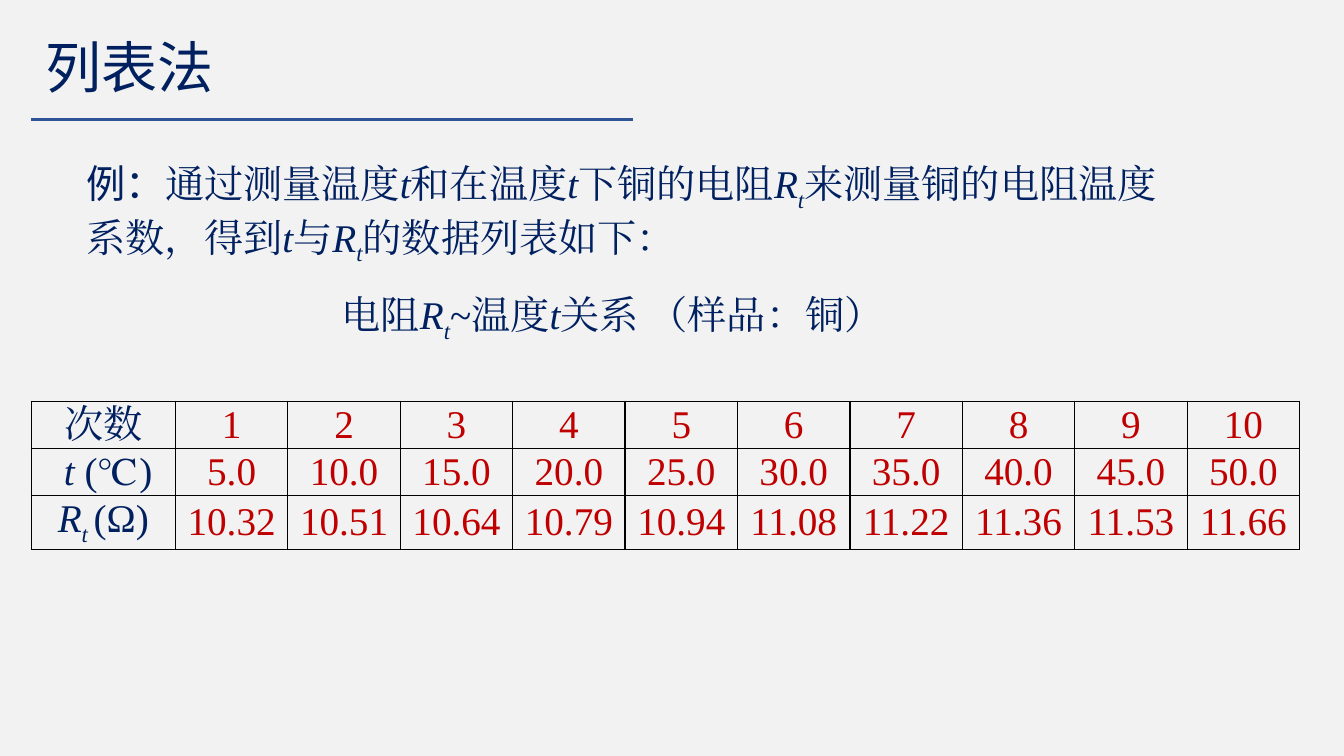
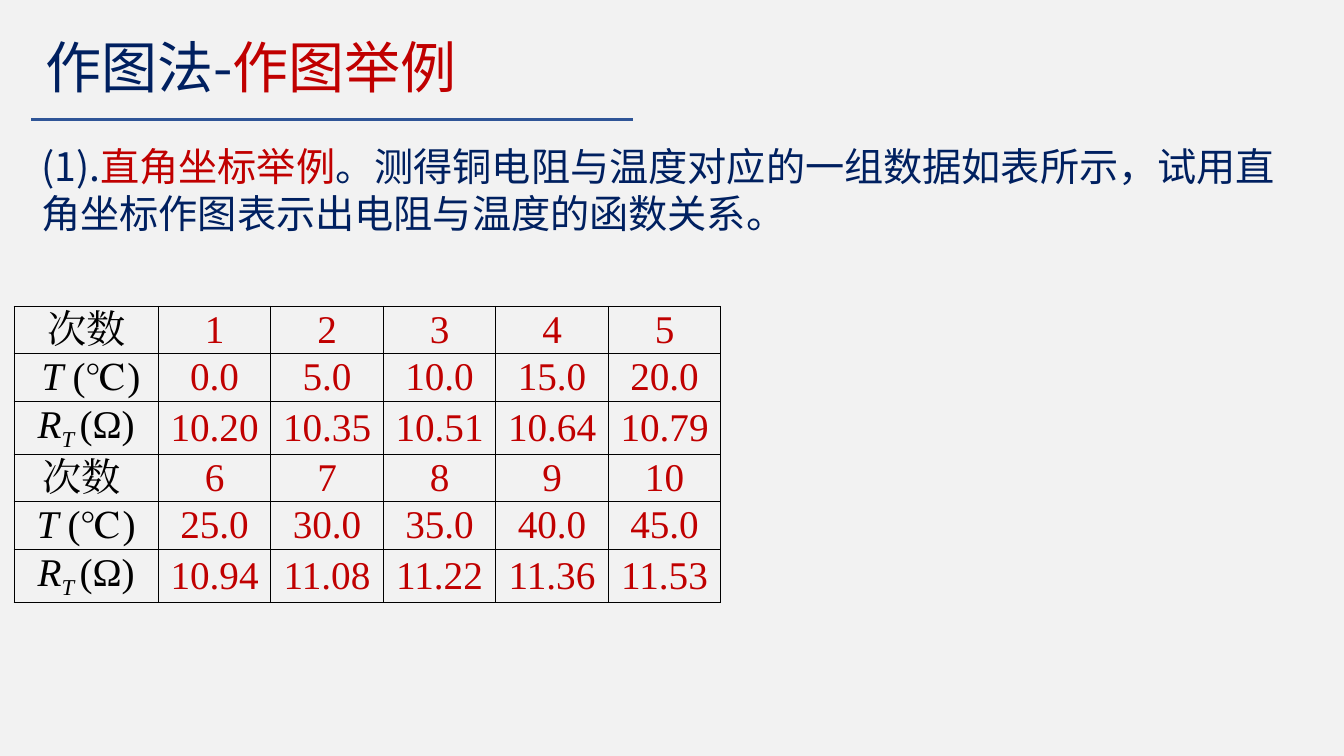
from dataclasses import dataclass

import pptx
import pptx.dml.color
import pptx.enum.shapes
import pptx.enum.text
import pptx.oxml.ns
import pptx.util
from lxml import etree
from pptx.util import Inches


@dataclass(frozen=True)
class Theme:
    paper: str = "F2F2F2"
    navy: str = "002060"
    red: str = "C00000"
    black: str = "000000"
    rule: str = "2F5597"
    sans: str = "Noto Sans CJK SC"
    serif: str = "Times New Roman"
    title_size: int = 40
    body_size: int = 28
    rule_width: float = 2.25
    border_width: float = 1


@dataclass(frozen=True)
class Span:
    text: str
    color: str | None = None
    font: str | None = None
    italic: bool = False
    sub: bool = False


@dataclass(frozen=True)
class Row:
    label: list[Span]
    values: str
    height: float = 0.47


@dataclass(frozen=True)
class Box:
    left: float
    top: float
    width: float
    height: float

    def place(self, sp) -> None:
        sp.left, sp.top = Inches(self.left), Inches(self.top)
        sp.width, sp.height = Inches(self.width), Inches(self.height)


THEME = Theme()
LABEL_WIDTH = 1.43


def rgb(color: str) -> pptx.dml.color.RGBColor:
    return pptx.dml.color.RGBColor.from_string(color)


def var(text: str) -> Span:
    return Span(text, italic=True)


def sub(text: str) -> Span:
    return Span(text, italic=True, sub=True)


def fill_paragraph(p, spans: list[Span], size: float, font: str, color: str) -> None:
    """Write the spans as runs; a span's own font or colour wins."""
    for span in spans:
        r = p.add_run()
        r.text = span.text
        name = span.font or font
        r.font.size = pptx.util.Pt(size)
        r.font.name = name
        r.font.bold = False
        r.font.italic = span.italic
        r.font.color.rgb = rgb(span.color or color)
        rPr = r.font._element
        if span.sub:
            rPr.set("baseline", "-25000")
        etree.SubElement(rPr, pptx.oxml.ns.qn("a:ea")).set("typeface", name)


def set_frame(tf, anchor) -> None:
    tf.word_wrap = True
    tf.auto_size = pptx.enum.text.MSO_AUTO_SIZE.NONE
    tf.vertical_anchor = anchor


def add_title(s, spans: list[Span], width: float) -> None:
    sp = s.shapes.title
    Box(0.35, 0.38, width, 0.63).place(sp)
    set_frame(sp.text_frame, pptx.enum.text.MSO_ANCHOR.MIDDLE)
    p = sp.text_frame.paragraphs[0]
    p.alignment = pptx.enum.text.PP_ALIGN.LEFT
    p.line_spacing = 0.9
    fill_paragraph(p, spans, THEME.title_size, THEME.sans, THEME.navy)
    line = s.shapes.add_connector(
        pptx.enum.shapes.MSO_CONNECTOR.STRAIGHT,
        Inches(0.31), Inches(1.19), Inches(6.28), Inches(1.19))
    line.line.color.rgb = rgb(THEME.rule)
    line.line.width = pptx.util.Pt(THEME.rule_width)
    etree.SubElement(line._element.spPr, pptx.oxml.ns.qn("a:effectLst"))


def add_text(sp, box: Box, spans: list[Span], font: str) -> None:
    box.place(sp)
    set_frame(sp.text_frame, pptx.enum.text.MSO_ANCHOR.TOP)
    p = sp.text_frame.paragraphs[0]
    p.space_before = pptx.util.Pt(0)
    pPr = p._p.get_or_add_pPr()
    pPr.set("marL", "0")
    pPr.set("indent", "0")
    etree.SubElement(pPr, pptx.oxml.ns.qn("a:buNone"))
    fill_paragraph(p, spans, THEME.body_size, font, THEME.navy)


def set_borders(cell) -> None:
    tcPr = cell._tc.get_or_add_tcPr()
    for index, side in enumerate(("lnL", "lnR", "lnT", "lnB")):
        ln = etree.Element(pptx.oxml.ns.qn(f"a:{side}"))
        ln.set("w", str(pptx.util.Pt(THEME.border_width)))
        fill = etree.SubElement(ln, pptx.oxml.ns.qn("a:solidFill"))
        etree.SubElement(fill, pptx.oxml.ns.qn("a:srgbClr")).set("val", THEME.black)
        tcPr.insert(index, ln)


def add_data_table(s, left: float, top: float, width: float,
                   rows: list[Row], label_color: str) -> None:
    count = len(rows[0].values.split())
    height = sum(row.height for row in rows)
    table = s.shapes.add_table(len(rows), count + 1, Inches(left), Inches(top),
                               Inches(width), Inches(height)).table
    table.first_row = table.horz_banding = False
    for i, column in enumerate(table.columns):
        column.width = Inches((width - LABEL_WIDTH) / count if i else LABEL_WIDTH)
    for i, row in enumerate(rows):
        table.rows[i].height = Inches(row.height)
        values = [[Span(v, THEME.red)] for v in row.values.split()]
        for j, spans in enumerate([row.label, *values]):
            cell = table.cell(i, j)
            cell.fill.background()
            cell.margin_left = cell.margin_right = Inches(0.07)
            cell.margin_top = cell.margin_bottom = 0
            cell.vertical_anchor = pptx.enum.text.MSO_ANCHOR.MIDDLE
            p = cell.text_frame.paragraphs[0]
            p.alignment = pptx.enum.text.PP_ALIGN.CENTER
            fill_paragraph(p, spans, THEME.body_size, THEME.serif, label_color)
            set_borders(cell)


def trial_row(values: str, text: str = "次数") -> Row:
    return Row([Span(text)], values)


def temperature_row(symbol: str, values: str) -> Row:
    return Row([var(f"{symbol} "), Span("(℃)")], values)


def resistance_row(symbol: str, values: str) -> Row:
    return Row([var("R"), sub(f"{symbol} "), Span("(Ω)")], values, 0.53)


def add_slide(prs):
    return prs.slides.add_slide(prs.slide_layouts[1])


def build_list_slide(prs) -> None:
    s = add_slide(prs)
    add_title(s, [Span("列表法")], 3.17)
    resistance = [var("R"), sub("t")]
    add_text(s.placeholders[1], Box(0.76, 1.53, 11.04, 1.04), [
        Span("例：", font=THEME.sans), Span("通过测量温度"), var("t"),
        Span("和在温度"), var("t"), Span("下铜的电阻"), *resistance,
        Span("来测量铜的电阻温度系数，得到"), var("t"), Span("与"), *resistance,
        Span("的数据列表如下："),
    ], THEME.serif)
    caption = s.shapes.add_textbox(0, 0, 0, 0)
    add_text(caption, Box(3.29, 2.83, 5.65, 0.57), [
        Span("电阻"), *resistance, Span("~温度"), var("t"),
        Span("关系 （样品：铜）"),
    ], THEME.serif)
    add_data_table(s, 0.31, 3.98, 12.58, [
        trial_row("1 2 3 4 5 6 7 8 9 10"),
        temperature_row(
            " t", "5.0 10.0 15.0 20.0 25.0 30.0 35.0 40.0 45.0 50.0"),
        resistance_row(
            "t", "10.32 10.51 10.64 10.79 10.94 11.08 11.22 11.36 11.53 11.66"),
    ], THEME.navy)


def build_plot_slide(prs) -> None:
    s = add_slide(prs)
    add_title(s, [Span("作图法-"), Span("作图举例", THEME.red)], 5.11)
    add_text(s.placeholders[1], Box(0.31, 1.36, 12.71, 1.04), [
        Span("(1)."), Span("直角坐标举例", THEME.red),
        Span("。测得铜电阻与温度对应的一组数据如表所示，"
             "试用直角坐标作图表示出电阻与温度的函数关系。"),
    ], THEME.sans)
    add_data_table(s, 0.14, 3.04, 7.01, [
        trial_row("1 2 3 4 5"),
        temperature_row(" T", "0.0 5.0 10.0 15.0 20.0"),
        resistance_row("T", "10.20 10.35 10.51 10.64 10.79"),
        trial_row("6 7 8 9 10", "次数 "),
        temperature_row("T", "25.0 30.0 35.0 40.0 45.0"),
        resistance_row("T", "10.94 11.08 11.22 11.36 11.53"),
    ], THEME.black)


def main() -> None:
    prs = pptx.Presentation()
    prs.slide_width, prs.slide_height = Inches(13.33), Inches(7.5)
    fill = prs.slide_master.background.fill
    fill.solid()
    fill.fore_color.rgb = rgb(THEME.paper)
    build_list_slide(prs)
    build_plot_slide(prs)
    prs.save("out.pptx")


if __name__ == "__main__":
    main()
